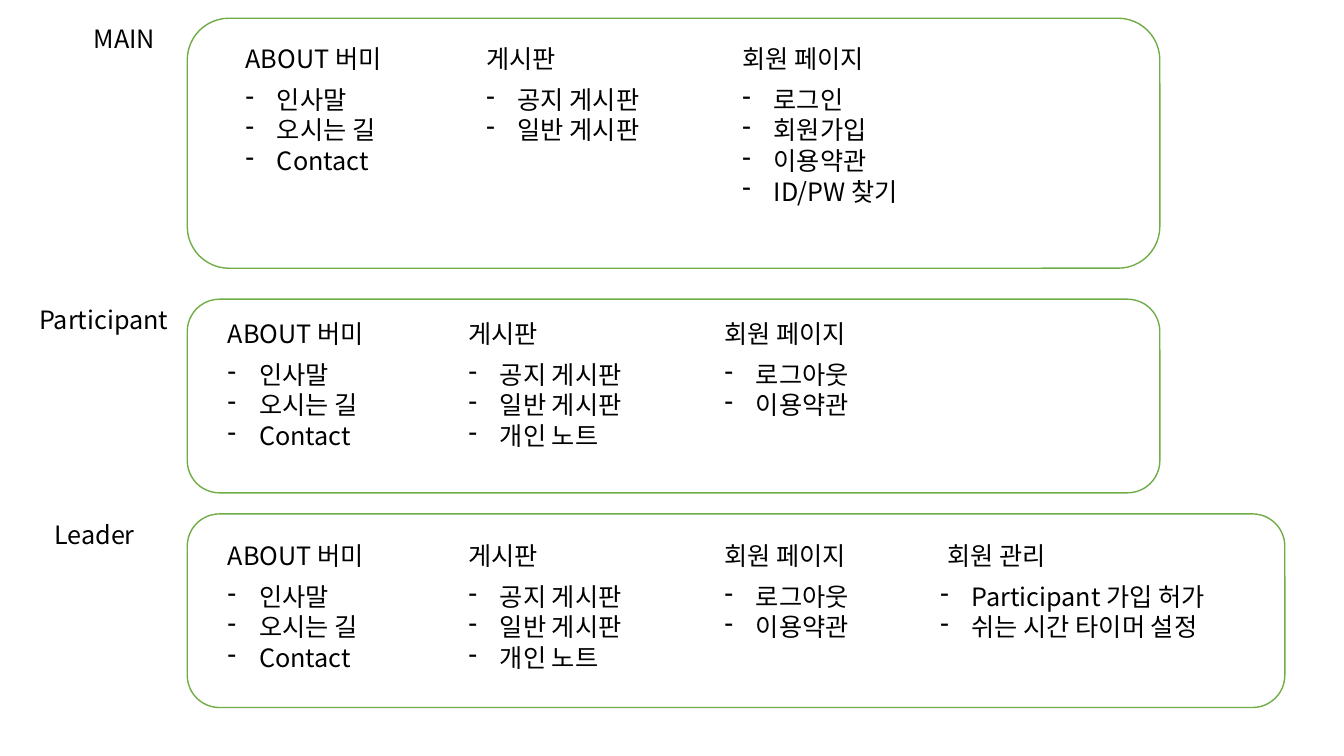
"""Build a site-map slide with the menus of each user role."""
from dataclasses import dataclass
from typing import Any

import lxml.etree
import pptx
import pptx.dml.color
import pptx.enum.shapes
import pptx.enum.text
import pptx.oxml.ns
import pptx.util

Cm = pptx.util.Cm
FONT = "Noto Sans CJK KR"
LINE_HEIGHT = 0.77
BOX_PADDING = 0.25
TITLE_TO_ITEMS = 1.02
PANEL_LEFT = 4.72
HANGING = 0.79


@dataclass(frozen=True)
class Menu:
    title: str
    items: tuple[str, ...]
    offset: float
    title_width: float
    items_width: float
    title_shift: float = 0


@dataclass(frozen=True)
class Section:
    name: str
    name_left: float
    name_width: float
    top: float
    width: float
    height: float
    menu_left: float
    menu_top: float
    menus: tuple[Menu, ...]


ABOUT = Menu("ABOUT 버미", ("인사말", "오시는 길", "Contact"), 0, 4.95, 4.6)
BOARDS = ("공지 게시판", "일반 게시판")
PUBLIC_BOARD = Menu("게시판", BOARDS, 6.07, 3.86, 6.3)
MEMBER_BOARD = Menu("게시판", BOARDS + ("개인 노트",), 6.07, 3.86, 6.3)
GUEST_PAGE = Menu("회원 페이지", ("로그인", "회원가입", "이용약관", "ID/PW 찾기"),
                  12.52, 6.05, 7.04)
MEMBER_PAGE = Menu("회원 페이지", ("로그아웃", "이용약관"), 12.52, 5.05, 6.3)
MANAGEMENT = Menu("회원 관리", ("Participant 가입 허가", "쉬는 시간 타이머 설정"),
                  17.96, 3.86, 8.03, 0.18)

SECTIONS = (
    Section("MAIN", 2.11, 2.51, 0.46, 24.51, 6.3, 5.94, 0.97,
            (ABOUT, PUBLIC_BOARD, GUEST_PAGE)),
    Section("Participant", 0.74, 3.76, 7.54, 24.51, 4.88, 5.49, 7.9,
            (ABOUT, MEMBER_BOARD, MEMBER_PAGE)),
    Section("Leader", 1.12, 3.23, 12.95, 27.66, 4.88, 5.49, 13.49,
            (ABOUT, MEMBER_BOARD, MEMBER_PAGE, MANAGEMENT)),
)


def color(value: str) -> pptx.dml.color.RGBColor:
    """Turn a hex string into a colour."""
    return pptx.dml.color.RGBColor.from_string(value)


def apply_format(target: Any, values: dict[str, Any]) -> None:
    """Set every attribute named in the format values."""
    for name, value in values.items():
        setattr(target, name, value)


def add_bullet(para: Any) -> None:
    """Give a paragraph a hanging dash."""
    properties = para._p.get_or_add_pPr()
    properties.set("marL", str(Cm(HANGING)))
    properties.set("indent", str(-Cm(HANGING)))
    bullet = lxml.etree.SubElement(properties, pptx.oxml.ns.qn("a:buChar"))
    bullet.set("char", "-")


def add_text(page: Any, lines: tuple[str, ...], left: float, top: float,
             width: float, bulleted: bool = False) -> None:
    """Add a text box with one paragraph for each line."""
    height = BOX_PADDING + LINE_HEIGHT * len(lines)
    box = page.shapes.add_textbox(Cm(left), Cm(top), Cm(width), Cm(height))
    frame = box.text_frame
    apply_format(frame, {
        "word_wrap": True,
        "auto_size": pptx.enum.text.MSO_AUTO_SIZE.SHAPE_TO_FIT_TEXT,
    })
    for index, line in enumerate(lines):
        para = frame.add_paragraph() if index else frame.paragraphs[0]
        para.line_spacing = Cm(LINE_HEIGHT)
        if bulleted:
            add_bullet(para)
        span = para.add_run()
        span.text = line
        apply_format(span.font, {"size": pptx.util.Pt(18), "name": FONT})
        span.font.color.rgb = color("000000")
        east_asian = lxml.etree.SubElement(span.font._element, pptx.oxml.ns.qn("a:ea"))
        east_asian.set("typeface", FONT)


def add_panel(page: Any, section: Section) -> None:
    """Add the rounded outline of a section."""
    panel = page.shapes.add_shape(
        pptx.enum.shapes.MSO_SHAPE.ROUNDED_RECTANGLE,
        Cm(PANEL_LEFT), Cm(section.top), Cm(section.width), Cm(section.height))
    panel.shadow.inherit = False
    panel.fill.solid()
    panel.fill.fore_color.rgb = color("FFFFFF")
    panel.line.color.rgb = color("70AD47")
    panel.line.width = pptx.util.Pt(1)


def add_section(page: Any, section: Section) -> None:
    """Add a section with its name and menus."""
    add_panel(page, section)
    add_text(page, (section.name,), section.name_left, section.top, section.name_width)
    for menu in section.menus:
        left = section.menu_left + menu.offset
        add_text(page, (menu.title,), left + menu.title_shift, section.menu_top,
                 menu.title_width)
        add_text(page, menu.items, left, section.menu_top + TITLE_TO_ITEMS,
                 menu.items_width, bulleted=True)


def main() -> None:
    """Build and save the deck."""
    deck = pptx.Presentation()
    apply_format(deck, {"slide_width": Cm(33.87), "slide_height": Cm(19.05)})
    page = deck.slides.add_slide(deck.slide_layouts[6])
    for section in SECTIONS:
        add_section(page, section)
    deck.save("out.pptx")


if __name__ == "__main__":
    main()
